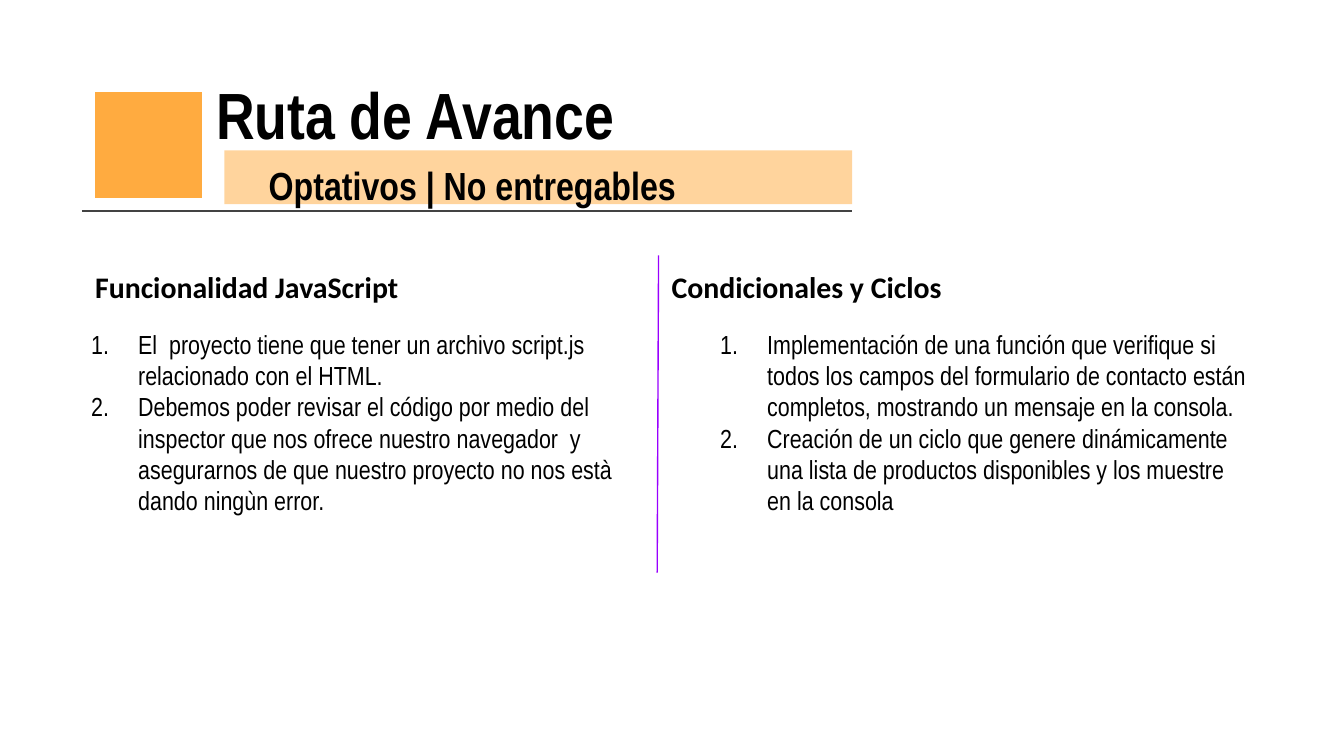
from dataclasses import dataclass

from lxml import etree
from pptx import Presentation
from pptx import util as u
from pptx.dml.color import RGBColor
from pptx.enum import shapes, text
from pptx.oxml import ns

SCALE = 4572


@dataclass(frozen=True)
class Theme:
    ink: str = "000000"
    paper: str = "FFFFFF"
    accent: str = "FFAB40"
    rule: str = "434343"
    divider: str = "9900FF"
    narrow: str = "Arial Narrow"
    sans: str = "Calibri"
    title: int = 35
    subtitle: int = 21
    heading: int = 16
    body: int = 14


THEME = Theme()


def px(count):
    return u.Emu(count * SCALE)


def add_numbering(para):
    props = para._p.get_or_add_pPr()
    props.set("marL", str(px(100)))
    props.set("indent", str(px(-70)))
    colour = etree.SubElement(props, ns.qn("a:buClr"))
    etree.SubElement(colour, ns.qn("a:srgbClr"), val=THEME.ink)
    etree.SubElement(props, ns.qn("a:buFont"), typeface=THEME.narrow)
    etree.SubElement(props, ns.qn("a:buAutoNum"), type="arabicPeriod")


def add_text(page, box, lines, size, font=THEME.narrow, bold=False, inset=20,
             anchor=text.MSO_ANCHOR.TOP, spacing=None, numbered=False):
    frame = page.shapes.add_textbox(*map(px, box)).text_frame
    frame.word_wrap = True
    frame.vertical_anchor = anchor
    frame.margin_left = frame.margin_right = px(inset)
    frame.margin_top = frame.margin_bottom = px(inset)
    for index, line in enumerate(lines):
        para = frame.add_paragraph() if index else frame.paragraphs[0]
        if spacing:
            para.line_spacing = spacing
        if numbered:
            add_numbering(para)
        span = para.add_run()
        span.text = line
        span.font.name = font
        span.font.size = u.Pt(size)
        span.font.bold = bold
        span.font.color.rgb = RGBColor.from_string(THEME.ink)


def add_block(page, box, alpha=None, outline=None):
    block = page.shapes.add_shape(shapes.MSO_SHAPE.RECTANGLE, *map(px, box))
    block.shadow.inherit = False
    block.fill.solid()
    block.fill.fore_color.rgb = RGBColor.from_string(THEME.accent)
    if alpha:
        colour = block._element.spPr.find(".//" + ns.qn("a:srgbClr"))
        etree.SubElement(colour, ns.qn("a:alpha"), val=str(alpha * 1000))
    if outline:
        block.line.color.rgb = RGBColor.from_string(outline)
        block.line.width = u.Pt(1)
    else:
        block.line.fill.background()


def add_line(page, start, end, colour):
    line = page.shapes.add_connector(
        shapes.MSO_CONNECTOR.STRAIGHT, *map(px, start + end))
    line.line.color.rgb = RGBColor.from_string(colour)
    line.line.width = u.Pt(0.75)
    etree.SubElement(line._element.spPr, ns.qn("a:effectLst"))


def add_header(page, box, title, subtitle):
    left, top, width, height = box
    right, bottom = left + width, top + height
    add_text(page, (left + 180, top, 1556, 162), [title], THEME.title,
             bold=True, anchor=text.MSO_ANCHOR.MIDDLE)
    add_line(page, (left, bottom), (right, bottom), THEME.rule)
    add_block(page, (left + 18, top + 48, 162, 160), outline=THEME.paper)
    add_block(page, (left + 212, top + 136, width - 212, 80), alpha=51)
    add_text(page, (left + 278, top + 138, width - 278, 70), [subtitle],
             THEME.subtitle, bold=True, inset=0, spacing=1.2)


def add_column(page, box, heading, items, list_shift, list_width):
    left, top, width, height = box
    add_text(page, (left, top, width, 80), [heading], THEME.heading,
             font=THEME.sans, bold=True)
    add_text(page, (left + list_shift, top + 88, list_width, height - 88),
             items, THEME.body, numbered=True)


def main():
    deck = Presentation()
    deck.slide_width, deck.slide_height = px(2000), px(1125)
    page = deck.slides.add_slide(deck.slide_layouts[6])
    add_header(page, (122, 88, 1146, 226),
               "Ruta de Avance", "Optativos | No entregables")
    add_column(page, (122, 380, 916, 386), "Funcionalidad JavaScript", [
        "El  proyecto tiene que tener un archivo script.js relacionado con el HTML.",
        "Debemos poder revisar el código por medio del inspector que nos ofrece "
        "nuestro navegador  y asegurarnos de que nuestro proyecto no nos està "
        "dando ningùn error.",
    ], list_shift=-36, list_width=894)
    add_column(page, (980, 380, 974, 386), "Condicionales y Ciclos", [
        "Implementación de una función que verifique si todos los campos del "
        "formulario de contacto están completos, mostrando un mensaje en la consola.",
        "Creación de un ciclo que genere dinámicamente una lista de productos "
        "disponibles y los muestre en la consola",
    ], list_shift=42, list_width=858)
    add_line(page, (980, 380), (978, 852), THEME.divider)
    deck.save("out.pptx")


if __name__ == "__main__":
    main()
